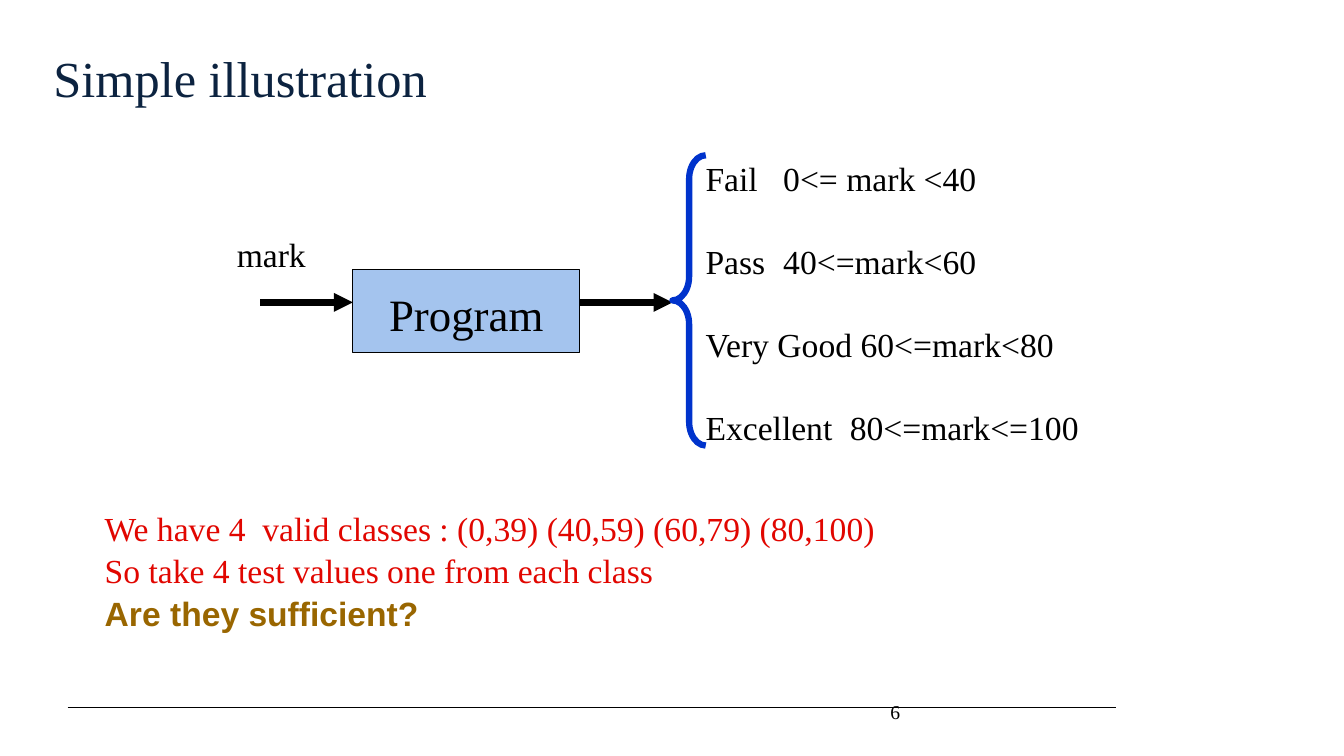
from dataclasses import dataclass
from pptx import Presentation
from pptx.dml.color import RGBColor as Color
from pptx.enum.shapes import MSO_CONNECTOR as Connector, MSO_SHAPE as Preset
from pptx.enum.text import MSO_ANCHOR as Anchor, PP_ALIGN as Align
from pptx.oxml.ns import qn
from pptx.util import Inches, Pt
from lxml.etree import SubElement


@dataclass(frozen=True)
class Theme:
    serif: str = "Times New Roman"
    sans: str = "Arial"
    black: str = "000000"
    navy: str = "0C2340"
    red: str = "E10600"
    brown: str = "996600"
    box: str = "A4C4EE"
    brace: str = "0033CC"
    title_size: int = 36
    program_size: int = 32
    body_size: int = 24
    number_size: int = 14
    thin: float = 0.75
    thick: float = 4.5
    spacing: float = 1.05


class SlideBuilder:
    def __init__(self, slide, theme):
        self.slide = slide
        self.theme = theme

    def set_text(self, shape, lines, insets=(0.1, 0.05), anchor=Anchor.TOP,
                 align=Align.LEFT, gap=0, tabs=(), **font):
        """Fill a shape with lines, each a text or a (text, font overrides) pair."""
        left, top = insets
        frame_format = dict(word_wrap=True, vertical_anchor=anchor,
                            margin_left=Inches(left), margin_top=Inches(top),
                            margin_right=Inches(0.1), margin_bottom=Inches(0.05))
        frame = shape.text_frame
        for name, value in frame_format.items():
            setattr(frame, name, value)
        for index, line in enumerate(lines):
            text, changes = (line, {}) if isinstance(line, str) else line
            paragraph = frame.add_paragraph() if index else frame.paragraphs[0]
            paragraph.alignment = align
            paragraph.line_spacing = self.theme.spacing
            paragraph.space_before = Pt(gap if index else 0)
            if tabs:
                tab_list = SubElement(paragraph._p.get_or_add_pPr(), qn("a:tabLst"))
                for position in tabs:
                    SubElement(tab_list, qn("a:tab"), pos=str(Inches(position)), algn="l")
            run = paragraph.add_run()
            run.text = text
            style = dict(name=self.theme.serif, size=self.theme.body_size,
                         color=self.theme.black, bold=False) | font | changes
            run.font.color.rgb = Color.from_string(style.pop("color"))
            style["size"] = Pt(style["size"])
            for name, value in style.items():
                setattr(run.font, name, value)

    def title(self, text, *area):
        shape = self.slide.shapes.title
        for name, value in zip(("left", "top", "width", "height"), area):
            setattr(shape, name, Inches(value))
        self.set_text(shape, [text], insets=(0, 0), size=self.theme.title_size,
                      color=self.theme.navy)

    def text(self, area, lines, **options):
        shape = self.slide.shapes.add_textbox(*map(Inches, area))
        self.set_text(shape, lines, **options)

    def shape(self, preset, area, line, width, fill=None):
        shape = self.slide.shapes.add_shape(preset, *map(Inches, area))
        shape.shadow.inherit = False
        if fill:
            shape.fill.solid()
            shape.fill.fore_color.rgb = Color.from_string(fill)
        else:
            shape.fill.background()
        shape.line.color.rgb = Color.from_string(line)
        shape.line.width = Pt(width)
        return shape

    def line(self, left, right, y, width, arrow=False):
        connector = self.slide.shapes.add_connector(
            Connector.STRAIGHT, Inches(left), Inches(y), Inches(right), Inches(y))
        connector.line.color.rgb = Color.from_string(self.theme.black)
        connector.line.width = Pt(width)
        if arrow:
            SubElement(connector.line._get_or_add_ln(), qn("a:tailEnd"), type="triangle")
        SubElement(connector._element.spPr, qn("a:effectLst"))


def main():
    theme = Theme()
    presentation = Presentation()
    presentation.slide_width = Inches(13.33)
    presentation.slide_height = Inches(7.5)
    slide = presentation.slides.add_slide(presentation.slide_layouts[5])
    builder = SlideBuilder(slide, theme)

    # Footer rule and page number
    builder.line(0.67, 11.07, 7.02, theme.thin)
    builder.text((8.83, 6.83, 2.08, 0.5), ["6"], insets=(0, 0),
                 anchor=Anchor.MIDDLE, size=theme.number_size)

    builder.title("Simple illustration", 0.53, 0.44, 8.5, 1.25)

    # Outcomes of the program
    builder.text((6.9, 1.5, 4.1, 2.93),
                 ["Fail\t0<= mark <40", "Pass\t40<=mark<60",
                  "Very Good 60<=mark<80", "Excellent\t80<=mark<=100"],
                 gap=29, tabs=(0.77, 1.43))

    # Program box with its input and output
    program = builder.shape(Preset.RECTANGLE, (3.5, 2.67, 2.25, 0.83),
                            theme.black, theme.thin, theme.box)
    builder.set_text(program, ["Program"], insets=(0.1, 0.08), anchor=Anchor.MIDDLE,
                     align=Align.CENTER, size=theme.program_size)
    builder.text((2.25, 2.25, 0.89, 0.5), ["mark"])
    for left, right in ((2.58, 3.5), (5.75, 6.67)):
        builder.line(left, right, 3, theme.thick, arrow=True)
    brace = builder.shape(Preset.LEFT_BRACE, (6.67, 1.54, 0.33, 2.88),
                          theme.brace, theme.thick)
    brace.adjustments[0] = 0.72

    # Conclusion
    builder.text((0.94, 4.97, 9.42, 1.31),
                 ["We have 4  valid classes : (0,39) (40,59) (60,79) (80,100)",
                  "So take 4 test values one from each class",
                  ("Are they sufficient?",
                   dict(name=theme.sans, color=theme.brown, bold=True))],
                 color=theme.red)

    presentation.save("out.pptx")


if __name__ == "__main__":
    main()
